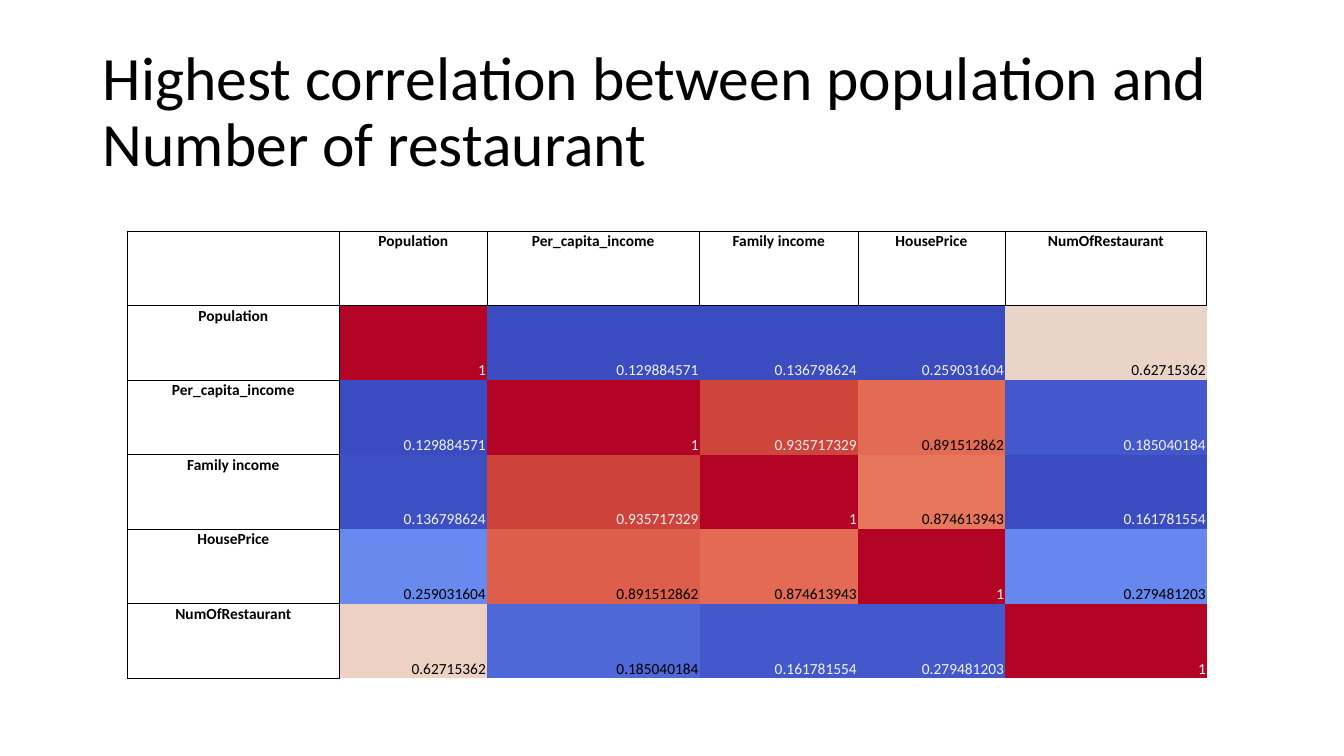
from lxml.etree import SubElement
from pptx import Presentation
from pptx.dml.color import RGBColor
from pptx.enum.text import MSO_ANCHOR, PP_ALIGN
from pptx.oxml.ns import qn
from pptx.util import Emu, Pt

PX = 9144  # EMU per px, at 100 px to the inch
FONT = "Calibri"
COLORS = {
    "ink": "000000", "pale ink": "F1F1F1",
    "crimson": "B40426", "brick": "CD423B", "rust": "CF453C",
    "coral": "DD5F4B", "salmon": "E36B54", "peach": "E8765C",
    "sand": "EAD4C8", "cream": "EDD1C2",
    "navy": "3B4CC0", "indigo": "3D50C3", "royal": "4358CB",
    "blue": "4E68D8", "azure": "6687ED", "sky": "688AEF",
}
TITLE = "Highest correlation between population and Number of restaurant"
VARIABLES = ["Population", "Per_capita_income", "Family income", "HousePrice", "NumOfRestaurant"]
# Lower triangle; the matrix is symmetric.
CORRELATIONS = [
    ["1"],
    ["0.129884571", "1"],
    ["0.136798624", "0.935717329", "1"],
    ["0.259031604", "0.891512862", "0.874613943", "1"],
    ["0.62715362", "0.185040184", "0.161781554", "0.279481203", "1"],
]
HEAT = [
    ["crimson", "navy", "navy", "navy", "sand"],
    ["navy", "crimson", "rust", "salmon", "royal"],
    ["indigo", "brick", "crimson", "peach", "navy"],
    ["sky", "coral", "salmon", "crimson", "azure"],
    ["cream", "blue", "royal", "royal", "crimson"],
]
COLUMN_WIDTHS = [211, 146, 211, 157, 146, 200]
ROW_HEIGHT = 74
SIDES = {"a:lnL": (0, -1), "a:lnR": (0, 1), "a:lnT": (-1, 0), "a:lnB": (1, 0)}


def px(length):
    return Emu(length * PX)


def color(name):
    return RGBColor.from_string(COLORS[name])


def add_run(paragraph, text, size, color_name, bold=False):
    run = paragraph.add_run()
    run.text = text
    run.font.name = FONT
    run.font.size = Pt(size)
    run.font.bold = bold
    run.font.color.rgb = color(color_name)


def add_title(slide):
    title = slide.shapes.title
    title.left, title.top, title.width, title.height = map(px, (92, 40, 1150, 145))
    title.text_frame.vertical_anchor = MSO_ANCHOR.MIDDLE
    paragraph = title.text_frame.paragraphs[0]
    paragraph.alignment = PP_ALIGN.LEFT
    paragraph.line_spacing = 0.9
    add_run(paragraph, TITLE, 44, "ink")


def is_label(row, column):
    """Tell whether a place holds a variable name: first row or column, not the corner."""
    return (row == 0) != (column == 0)


def set_borders(cell, row, column):
    """Rule every side that touches a label cell and clear the others."""
    properties = cell._tc.get_or_add_tcPr()
    for tag, (row_step, column_step) in SIDES.items():
        line = SubElement(properties, qn(tag), w=str(Pt(0.5)))
        if is_label(row, column) or is_label(row + row_step, column + column_step):
            fill = SubElement(line, qn("a:solidFill"))
            SubElement(fill, qn("a:srgbClr"), val=COLORS["ink"])
        else:
            SubElement(line, qn("a:noFill"))


def format_cell(cell, row, column):
    cell.margin_left = cell.margin_right = cell.margin_top = px(1)
    cell.margin_bottom = 0
    set_borders(cell, row, column)
    cell.fill.background()


def fill_label(cell, text):
    paragraph = cell.text_frame.paragraphs[0]
    paragraph.alignment = PP_ALIGN.CENTER
    add_run(paragraph, text, 11, "ink", bold=True)


def fill_value(cell, text, heat):
    cell.fill.solid()
    cell.fill.fore_color.rgb = color(heat)
    cell.vertical_anchor = MSO_ANCHOR.BOTTOM
    paragraph = cell.text_frame.paragraphs[0]
    paragraph.alignment = PP_ALIGN.RIGHT
    green = color(heat)[1]
    add_run(paragraph, text, 11, "ink" if green > 90 else "pale ink")


def add_correlation_table(slide):
    count = len(VARIABLES) + 1
    frame = slide.shapes.add_table(
        count, count, px(126), px(229), px(sum(COLUMN_WIDTHS)), px(count * ROW_HEIGHT))
    table = frame.table
    table.first_row = table.horz_banding = False
    for column, width in zip(table.columns, COLUMN_WIDTHS):
        column.width = px(width)
    for row in table.rows:
        row.height = px(ROW_HEIGHT)

    for row in range(count):
        for column in range(count):
            cell = table.cell(row, column)
            format_cell(cell, row, column)
            if is_label(row, column):
                fill_label(cell, VARIABLES[max(row, column) - 1])
            elif row:
                low, high = sorted((row - 1, column - 1))
                fill_value(cell, CORRELATIONS[high][low], HEAT[row - 1][column - 1])


def main():
    presentation = Presentation()
    presentation.slide_width = px(1333)
    presentation.slide_height = px(750)
    slide = presentation.slides.add_slide(presentation.slide_layouts.get_by_name("Title Only"))
    add_title(slide)
    add_correlation_table(slide)
    presentation.save("out.pptx")


if __name__ == "__main__":
    main()
